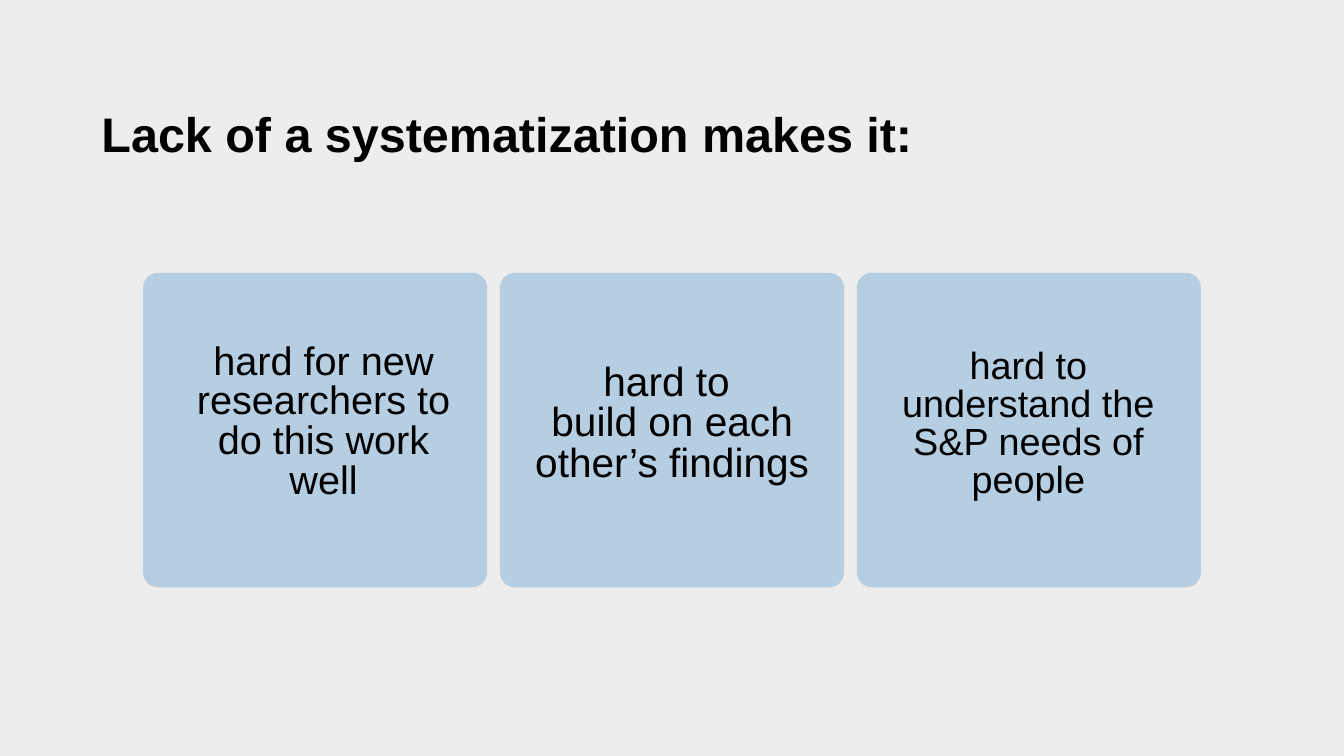
from pptx import Presentation
from pptx.dml.color import RGBColor
from pptx.enum.shapes import MSO_SHAPE
from pptx.enum.text import MSO_ANCHOR, MSO_AUTO_SIZE, PP_ALIGN
from pptx.util import Pt

PX = 9144  # EMU per px, 100 px to the inch
COLORS = {"background": "EDEDED", "card": "B6CEE2", "text": "000000"}
FONT = "Arial"

CARD_WIDTH, CARD_HEIGHT, CARD_GAP = 512, 468, 19
CARD_RADIUS = 22
TEXT_WIDTH = 423

# Lines of text, font size, and the text's left, top and height within its card
CARDS = [
    (["hard for new researchers to do this work well"], 42.5, 57, 105, 294),
    (["hard to ", "build on each other’s findings"], 43.5, 45, 135, 233),
    (["hard to understand the S&P needs of people"], 40.5, 44, 114, 226),
]


def px(*lengths):
    return [length * PX for length in lengths]


def color(name):
    return RGBColor.from_string(COLORS[name])


def write_text(shape, lines, size, line_spacing, alignment, bold=False):
    frame = shape.text_frame
    frame.text = "\n".join(lines)
    frame.word_wrap = True
    frame.auto_size = MSO_AUTO_SIZE.NONE
    frame.vertical_anchor = MSO_ANCHOR.TOP
    frame.margin_left = frame.margin_top = frame.margin_right = frame.margin_bottom = 0
    for paragraph in frame.paragraphs:
        paragraph.alignment = alignment
        paragraph.line_spacing = Pt(line_spacing)
        paragraph.space_before = paragraph.space_after = Pt(0)
        paragraph.font.name = FONT
        paragraph.font.size = Pt(size)
        paragraph.font.bold = bold
        paragraph.font.color.rgb = color("text")


def add_title(slide, left, top, width, height):
    title = slide.shapes.title
    title.left, title.top, title.width, title.height = px(left, top, width, height)
    write_text(title, ["Lack of a systematization makes it:"], 52, 72.8, PP_ALIGN.LEFT, bold=True)


def add_card(slide, left, top, lines, size, text_left, text_top, text_height):
    card = slide.shapes.add_shape(
        MSO_SHAPE.ROUNDED_RECTANGLE, *px(left, top, CARD_WIDTH, CARD_HEIGHT))
    card.adjustments[0] = CARD_RADIUS / min(CARD_WIDTH, CARD_HEIGHT)
    card.shadow.inherit = False
    card.fill.solid()
    card.fill.fore_color.rgb = color("card")
    card.line.fill.background()
    label = slide.shapes.add_textbox(
        *px(left + text_left, top + text_top, TEXT_WIDTH, text_height))
    write_text(label, lines, size, size, PP_ALIGN.CENTER)


def add_card_row(slide, left, top):
    for index, card in enumerate(CARDS):
        add_card(slide, left + index * (CARD_WIDTH + CARD_GAP), top, *card)


def main():
    presentation = Presentation()
    presentation.slide_width, presentation.slide_height = px(2000, 1125)
    slide = presentation.slides.add_slide(presentation.slide_layouts[5])
    slide.background.fill.solid()
    slide.background.fill.fore_color.rgb = color("background")
    add_title(slide, 151, 140, 1266, 299)
    add_card_row(slide, 213, 406)
    presentation.save("out.pptx")


if __name__ == "__main__":
    main()
